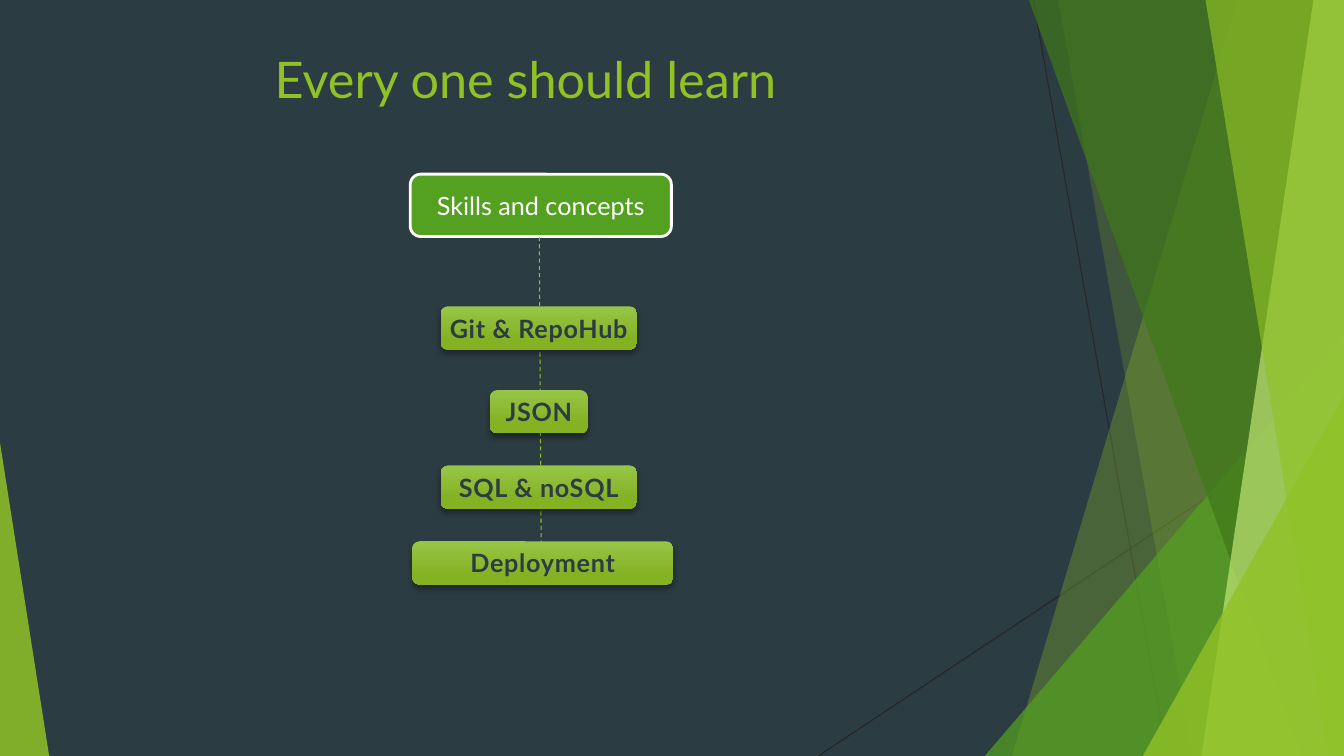
from lxml import etree
from pptx import Presentation, util as u
from pptx.dml.color import RGBColor
from pptx.enum import dml, shapes, text
from pptx.oxml.ns import qn

WIDE, HIGH = 33.87, 19.05
HUES = {"back": "2C3C43", "lime": "90C226", "leaf": "54A021", "moss": "3F7819",
        "pale": "C0E474", "white": "FFFFFF", "dark": "262626",
        "top": "97C547", "base": "84B223", "shade": "000000"}


def rgb(hue):
    return RGBColor.from_string(HUES[hue])


def write(frame, words, hue="white", size=18, bold=False, gap=0, wrap=False, anchor="MIDDLE"):
    frame.word_wrap = wrap
    frame.vertical_anchor = text.MSO_ANCHOR[anchor]
    para = frame.paragraphs[0]
    para.alignment = text.PP_ALIGN.CENTER
    run = para.add_run()
    run.text = words
    font = run.font
    font.name, font.size, font.bold = "Lato", u.Pt(size), bold
    font.color.rgb = rgb(hue)
    if gap:
        font._element.set("spc", str(round(gap * 100)))


class Deck:
    font_dark = {"hue": "back", "bold": True, "gap": 0.5}

    def __init__(self):
        self.show = Presentation()
        self.show.slide_width, self.show.slide_height = u.Cm(WIDE), u.Cm(HIGH)
        self.slide = self.show.slides.add_slide(self.show.slide_layouts[6])
        self.items = self.slide.shapes
        fill = self.slide.background.fill
        fill.solid()
        fill.fore_color.rgb = rgb("back")

    def paint(self, shape, hue, alpha=100):
        shape.shadow.inherit = False
        shape.line.fill.background()
        shape.fill.solid()
        shape.fill.fore_color.rgb = rgb(hue)
        if alpha < 100:
            tone = shape._element.spPr.find(".//" + qn("a:srgbClr"))
            etree.SubElement(tone, qn("a:alpha"), val=str(alpha * 1000))

    def line(self, *ends, hue="dark", dash=False):
        link = self.items.add_connector(shapes.MSO_CONNECTOR.STRAIGHT, *map(u.Cm, ends))
        link.line.color.rgb = rgb(hue)
        link.line.width = u.Pt(0.75)
        if dash:
            link.line.dash_style = dml.MSO_LINE.DASH
        etree.SubElement(link._element.spPr, qn("a:effectLst"))

    def shard(self, top, foot, hue, alpha):
        """Band from a slanted left edge to the right side of the slide."""
        pen = self.items.build_freeform(u.Cm(top), 0)
        pen.add_line_segments([(u.Cm(x), u.Cm(y)) for x, y in
                               ((WIDE, 0), (WIDE, HIGH), (foot, HIGH))])
        self.paint(pen.convert_to_shape(), hue, alpha)

    def wedge(self, left, top, wide, tip, hue, alpha):
        """Triangle standing on the foot of the slide."""
        shape = self.items.add_shape(shapes.MSO_SHAPE.ISOSCELES_TRIANGLE,
                                     *map(u.Cm, (left, top, wide, HIGH - top)))
        shape.adjustments[0] = tip
        self.paint(shape, hue, alpha)

    def title(self, words, *area):
        frame = self.items.add_textbox(*map(u.Cm, area)).text_frame
        write(frame, words, hue="lime", size=36, wrap=True, anchor="TOP")

    def box(self, words, area, **style):
        shape = self.items.add_shape(shapes.MSO_SHAPE.ROUNDED_RECTANGLE, *map(u.Cm, area))
        self.paint(shape, "leaf")
        write(shape.text_frame, words, **style)
        return shape

    def head(self, words, *area):
        edge = self.box(words, area).line
        edge.color.rgb = rgb("white")
        edge.width = u.Pt(2)

    def pill(self, words, mid, top, wide):
        shape = self.box(words, (mid - wide / 2, top, wide, 1.09), **self.font_dark)
        shape.fill.gradient()
        shape.fill.gradient_angle = 270
        for stop, hue, place in zip(shape.fill.gradient_stops, ("top", "base"), (0, 0.78)):
            stop.color.rgb = rgb(hue)
            stop.position = place
        glow = etree.SubElement(shape._element.spPr.find(qn("a:effectLst")),
                                qn("a:outerShdw"), blurRad=str(u.Pt(4)),
                                dist=str(u.Pt(3)), dir="5400000", rotWithShape="0")
        tone = etree.SubElement(glow, qn("a:srgbClr"), val=HUES["shade"])
        etree.SubElement(tone, qn("a:alpha"), val="35000")


deck = Deck()

# Backdrop, from back to front
deck.line(26.04, 0, 29.41, HIGH)
deck.line(WIDE, 10.24, 20.62, HIGH)
deck.shard(31.19, 25.5, "lime", 30)
deck.shard(26.67, 30.05, "lime", 20)
deck.wedge(24.82, 8.46, 9.05, 1, "leaf", 72)
deck.shard(25.93, 32.79, "moss", 70)
deck.shard(33.1, 30.28, "pale", 70)
deck.shard(30.38, 33.48, "lime", 65)
deck.wedge(28.8, 9.98, 5.07, 1, "lime", 80)
deck.wedge(0, 11.15, 1.24, 0, "lime", 85)

# Title and head of the chain
deck.title("Every one should learn", 1.65, 1.09, 23.19, 2.74)
deck.head("Skills and concepts", 10.34, 4.39, 6.58, 1.57)
deck.line(13.59, 5.97, 13.64, 14.17, hue="lime", dash=True)

# Skills: words, middle, top, width
for skill in (("Git & RepoHub", 13.58, 7.72, 4.95),
              ("JSON", 13.58, 9.83, 2.46),
              ("SQL & noSQL", 13.58, 11.73, 4.95),
              ("Deployment", 13.68, 13.64, 6.58)):
    deck.pill(*skill)

deck.show.save("out.pptx")
